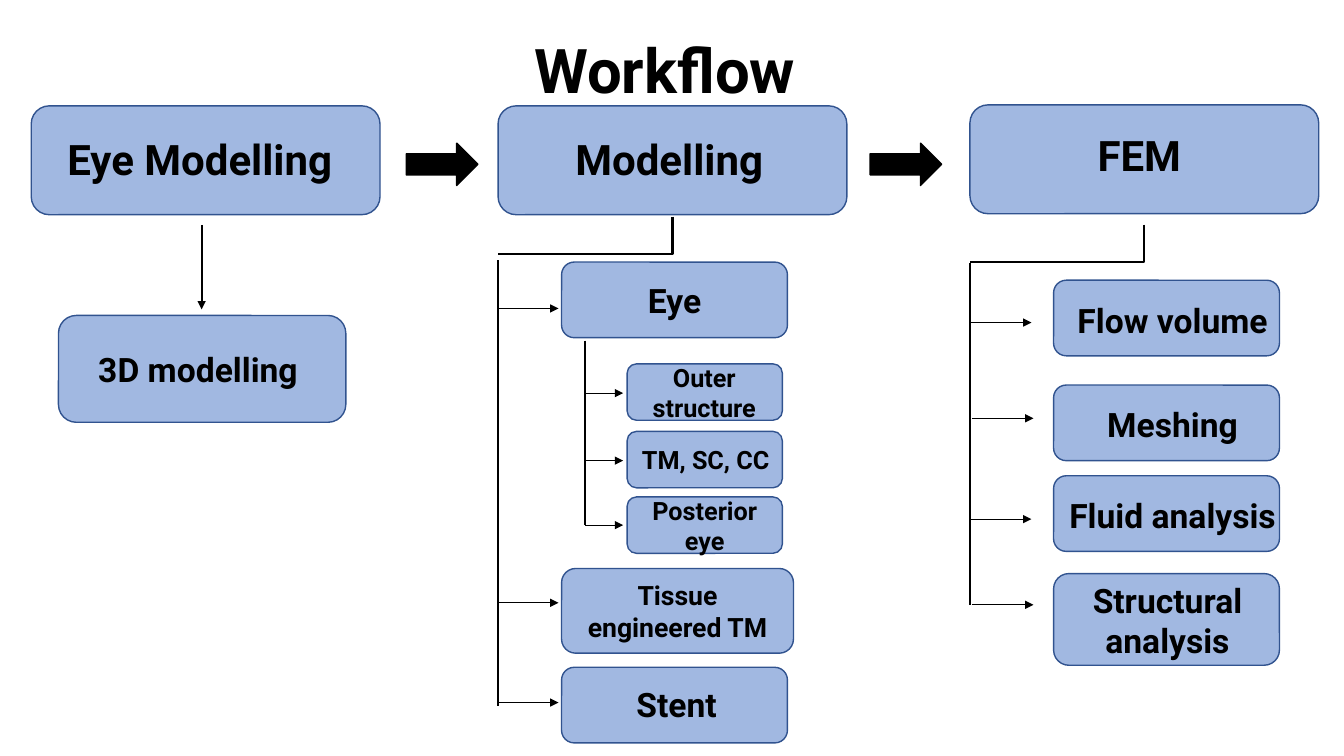
from dataclasses import dataclass
from typing import Optional

from pptx import Presentation
from pptx.dml.color import RGBColor
from pptx.enum.shapes import MSO_CONNECTOR, MSO_SHAPE
from pptx.enum.text import MSO_ANCHOR, MSO_AUTO_SIZE, PP_ALIGN
from pptx.oxml.ns import qn
from pptx.util import Emu, Pt
from lxml import etree

STRAIGHT, ELBOW = MSO_CONNECTOR.STRAIGHT, MSO_CONNECTOR.ELBOW
ROUNDED, ARROW = MSO_SHAPE.ROUNDED_RECTANGLE, MSO_SHAPE.RIGHT_ARROW
CENTER, LEFT = PP_ALIGN.CENTER, PP_ALIGN.LEFT
MIDDLE, TOP = MSO_ANCHOR.MIDDLE, MSO_ANCHOR.TOP
GROW = MSO_AUTO_SIZE.SHAPE_TO_FIT_TEXT

PX = 9144  # 100 px to the inch
FONT = "Roboto"
BLACK, BLUE, NAVY = "000000", "4472C4", "31538F"

Rect = tuple[int, int, int, int]


@dataclass
class Box:
    text: str
    size: int
    rect: Rect
    label: Optional[Rect] = None  # separate text area; None puts text in the box
    align: PP_ALIGN = CENTER


@dataclass
class Branch:
    x: int
    top: int
    bottom: int
    width: float
    arrows: list[Rect]  # x1, y1, x2, y2


def stage(text: str, x: int, y: int, label: Rect, align: PP_ALIGN = CENTER) -> Box:
    return Box(text, 30, (x, y, 346, 108), label, align)


def step(text: str, x: int, y: int, label: Rect, height: int = 75) -> Box:
    return Box(text, 24, (x, y, 224, height), label)


def detail(text: str, y: int, label: Optional[Rect] = None) -> Box:
    return Box(text, 18, (622, y, 154, 56), label)


BOXES = [
    stage("Eye Modelling", 31, 105, (57, 128, 314, 61), LEFT),
    stage("Modelling ", 494, 105, (512, 128, 314, 61)),
    stage("FEM", 962, 104, (973, 124, 314, 61)),
    Box("3D modelling ", 24, (58, 313, 285, 106), (58, 341, 285, 50)),
    step("Eye", 557, 260, (563, 273, 212, 50)),
    detail("Outer structure", 361, (629, 354, 139, 71)),
    detail("TM, SC, CC", 428, (607, 436, 186, 40)),
    detail("Posterior eye", 493),
    Box("Tissue engineered TM", 19, (557, 564, 230, 84)),
    step("Stent", 557, 662, (565, 674, 212, 50)),
    step("Flow volume", 1045, 278, (1040, 293, 246, 50)),
    step("Meshing", 1045, 382, (1040, 396, 246, 50)),
    step("Fluid analysis", 1045, 472, (1040, 486, 246, 50)),
    step("Structural analysis", 1045, 569, (1035, 570, 246, 91), 91),
]
BRANCHES = [
    Branch(494, 258, 700, 1.25,
           [(494, 306, 554, 306), (493, 598, 554, 598), (493, 697, 554, 697)]),
    Branch(580, 338, 521, 1.5, [(580, y, 618, y) for y in (390, 457, 521)]),
    Branch(962, 261, 600, 1.25,
           [(x, y, x + 61, y)
            for x, y in ((962, 320), (964, 415), (962, 515), (964, 600))]),
]
ELBOWS = [(667, 215, 494, 252), (1135, 223, 962, 260)]


def rgb(color: str) -> RGBColor:
    return RGBColor.from_string(color)


def emu(values: Rect) -> list[Emu]:
    return [Emu(v * PX) for v in values]


def write(tf, text: str, size: int, align=CENTER, anchor=MIDDLE) -> None:
    tf.word_wrap = True
    tf.vertical_anchor = anchor
    p = tf.paragraphs[0]
    p.text = text
    p.alignment = align
    p.font.name, p.font.size, p.font.bold = FONT, Pt(size), True
    p.font.color.rgb = rgb(BLACK)


def add_block(slide, kind, rect: Rect, fill: str, line: str):
    sp = slide.shapes.add_shape(kind, *emu(rect))
    sp.shadow.inherit = False
    sp.fill.solid()
    sp.fill.fore_color.rgb = rgb(fill)
    sp.line.color.rgb = rgb(line)
    sp.line.width = Pt(1)
    return sp


def add_box(slide, box: Box) -> None:
    sp = add_block(slide, ROUNDED, box.rect, BLUE, NAVY)
    color = sp._element.spPr.find(qn("a:solidFill")).find(qn("a:srgbClr"))
    etree.SubElement(color, qn("a:alpha")).set("val", "50000")
    if box.label is None:
        write(sp.text_frame, box.text, box.size)
    else:
        tf = slide.shapes.add_textbox(*emu(box.label)).text_frame
        write(tf, box.text, box.size, box.align, TOP)
        tf.auto_size = GROW


def add_line(slide, ends: Rect, width: float, head: bool = False, kind=STRAIGHT):
    line = slide.shapes.add_connector(kind, *emu(ends))
    line.line.color.rgb = rgb(BLACK)
    line.line.width = Pt(width)
    sp_pr = line._element.spPr
    if head:
        ln = sp_pr.find(qn("a:ln"))
        etree.SubElement(ln, qn("a:tailEnd")).set("type", "triangle")
    etree.SubElement(sp_pr, qn("a:effectLst"))
    return line


def add_elbow(slide, ends: Rect) -> None:
    """Down, then left: a one-bend connector turned by 90 degrees."""
    x1, y1, x2, y2 = ends
    w, h = y2 - y1, x1 - x2
    left, top = (x1 + x2 - w) // 2, (y1 + y2 - h) // 2
    line = add_line(slide, (left, top, left + w, top + h), 1.5, kind=ELBOW)
    sp_pr = line._element.spPr
    sp_pr.find(qn("a:xfrm")).set("rot", "5400000")
    sp_pr.find(qn("a:prstGeom")).set("prst", "bentConnector2")


def main() -> None:
    prs = Presentation()
    prs.slide_width, prs.slide_height = Emu(1333 * PX), Emu(750 * PX)
    slide = prs.slides.add_slide(prs.slide_layouts[5])

    # Title
    title = slide.shapes.title
    title.left, title.top, title.width, title.height = emu((92, 0, 1150, 145))
    write(title.text_frame, "Workflow ", 44)
    title.text_frame.paragraphs[0].line_spacing = 0.9

    # Stages, steps and details
    for box in BOXES:
        add_box(slide, box)

    # Arrows between stages
    for x in (403, 863):
        add_block(slide, ARROW, (x, 142, 71, 42), BLACK, BLACK)

    # Branches
    add_line(slide, (200, 223, 200, 307), 1.5, head=True)
    for b in BRANCHES:
        add_line(slide, (b.x, b.top, b.x, b.bottom), b.width)
        for ends in b.arrows:
            add_line(slide, ends, 0.75, head=True)
    for ends in ELBOWS:
        add_elbow(slide, ends)

    prs.save("out.pptx")


if __name__ == "__main__":
    main()
